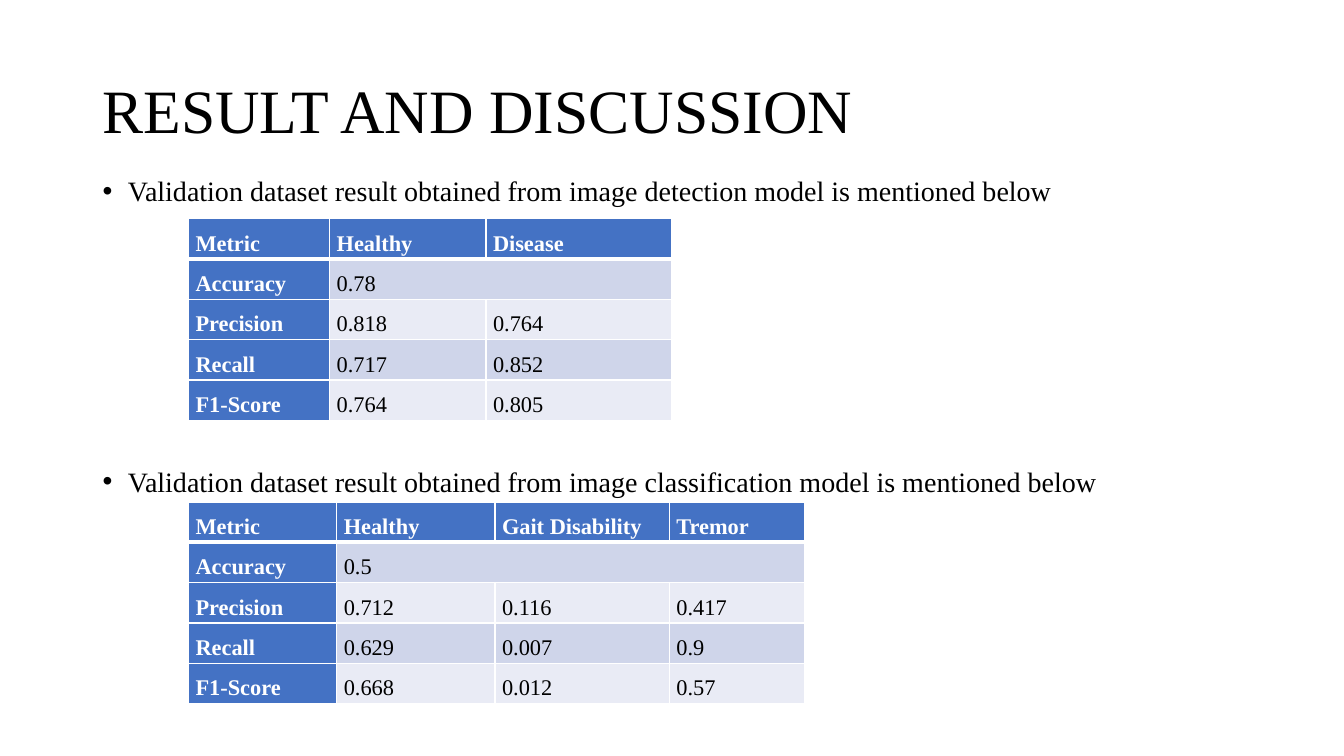
from dataclasses import dataclass

from lxml.etree import SubElement
from pptx import Presentation
from pptx.dml.color import RGBColor
from pptx.enum.text import MSO_ANCHOR
from pptx.oxml.ns import qn
from pptx.util import Inches, Pt


@dataclass(frozen=True)
class Theme:
    font: str = "Times New Roman"
    black: str = "000000"
    white: str = "FFFFFF"
    header: str = "4472C4"
    bands: tuple = ("CFD5EA", "E9EBF5")
    title_size: int = 44
    body_size: int = 20
    table_size: int = 16
    thin_line: int = 1
    thick_line: int = 3


class SlideBuilder:
    def __init__(self, presentation, theme):
        self.theme = theme
        self.slide = presentation.slides.add_slide(presentation.slide_layouts[6])

    def format_paragraph(self, paragraph, size, color, line_spacing, bold=False):
        paragraph.line_spacing = line_spacing
        for run in paragraph.runs:
            run.font.name = self.theme.font
            run.font.size = Pt(size)
            run.font.bold = bold
            run.font.color.rgb = RGBColor.from_string(color)

    def add_text_frame(self, left, top, width, height):
        box = self.slide.shapes.add_textbox(
            Inches(left), Inches(top), Inches(width), Inches(height))
        box.text_frame.word_wrap = True
        return box.text_frame

    def add_title(self, text, *place):
        text_frame = self.add_text_frame(*place)
        text_frame.vertical_anchor = MSO_ANCHOR.MIDDLE
        text_frame.text = text
        self.format_paragraph(text_frame.paragraphs[0], self.theme.title_size,
                              self.theme.black, 0.9)

    def add_bullets(self, texts, gap, *place):
        text_frame = self.add_text_frame(*place)
        text_frame.text = "\n".join(texts)
        for index, paragraph in enumerate(text_frame.paragraphs):
            self.format_paragraph(paragraph, self.theme.body_size, self.theme.black, 0.9)
            paragraph.space_before = Pt(gap if index else 0)
            properties = paragraph._p.get_or_add_pPr()
            properties.set("marL", str(Inches(0.25)))
            properties.set("indent", str(Inches(-0.25)))
            SubElement(properties, qn("a:buFont"), typeface="Arial")
            SubElement(properties, qn("a:buChar"), char="•")

    def add_borders(self, cell, row):
        """Draw white cell edges, with a thick one under the header row."""
        thick_side = {0: "B", 1: "T"}.get(row)
        properties = cell._tc.get_or_add_tcPr()
        for side in "LRTB":
            width = self.theme.thick_line if side == thick_side else self.theme.thin_line
            line = SubElement(properties, qn(f"a:ln{side}"), w=str(Pt(width)))
            fill = SubElement(line, qn("a:solidFill"))
            SubElement(fill, qn("a:srgbClr"), val=self.theme.white)

    def style_cell(self, cell, row, column):
        is_header = row == 0 or column == 0
        cell.margin_left = cell.margin_right = Inches(0.07)
        cell.margin_top = cell.margin_bottom = 0
        self.add_borders(cell, row)
        cell.fill.solid()
        cell.fill.fore_color.rgb = RGBColor.from_string(
            self.theme.header if is_header else self.theme.bands[(row - 1) % 2])
        self.format_paragraph(cell.text_frame.paragraphs[0], self.theme.table_size,
                              self.theme.white if is_header else self.theme.black,
                              1.5, is_header)

    def add_metric_table(self, rows, left, top, column_widths, row_height=0.37):
        """Add a table; a row shorter than the header merges its last value to the edge."""
        table = self.slide.shapes.add_table(
            len(rows), len(column_widths), Inches(left), Inches(top),
            Inches(sum(column_widths)), Inches(row_height * len(rows))).table
        table.horz_banding = False
        for column, width in zip(table.columns, column_widths):
            column.width = Inches(width)
        last_column = len(column_widths) - 1
        for row, values in enumerate(rows):
            table.rows[row].height = Inches(row_height)
            for column, value in enumerate(values):
                table.cell(row, column).text = value
            for column in range(last_column + 1):
                self.style_cell(table.cell(row, column), row, column)
            if len(values) <= last_column:
                table.cell(row, len(values) - 1).merge(table.cell(row, last_column))


DETECTION_ROWS = [
    ("Metric", "Healthy", "Disease"),
    ("Accuracy", "0.78"),
    ("Precision", "0.818", "0.764"),
    ("Recall", "0.717", "0.852"),
    ("F1-Score", "0.764", "0.805"),
]
CLASSIFICATION_ROWS = [
    ("Metric", "Healthy", "Gait Disability", "Tremor"),
    ("Accuracy", "0.5"),
    ("Precision", "0.712", "0.116", "0.417"),
    ("Recall", "0.629", "0.007", "0.9"),
    ("F1-Score", "0.668", "0.012", "0.57"),
]


def main():
    presentation = Presentation()
    presentation.slide_width = Inches(13.33)
    presentation.slide_height = Inches(7.5)
    builder = SlideBuilder(presentation, Theme())
    builder.add_title("RESULT AND DISCUSSION", 0.92, 0.4, 11.5, 1.45)
    builder.add_bullets(
        [f"Validation dataset result obtained from image {task} model is mentioned below"
         for task in ("detection", "classification")],
        186, 0.92, 1.71, 11.5, 4.76)
    builder.add_metric_table(DETECTION_ROWS, 1.87, 2.17, (1.4, 1.55, 1.84))
    builder.add_metric_table(CLASSIFICATION_ROWS, 1.87, 4.98, (1.47, 1.57, 1.73, 1.34))
    presentation.save("out.pptx")


if __name__ == "__main__":
    main()
